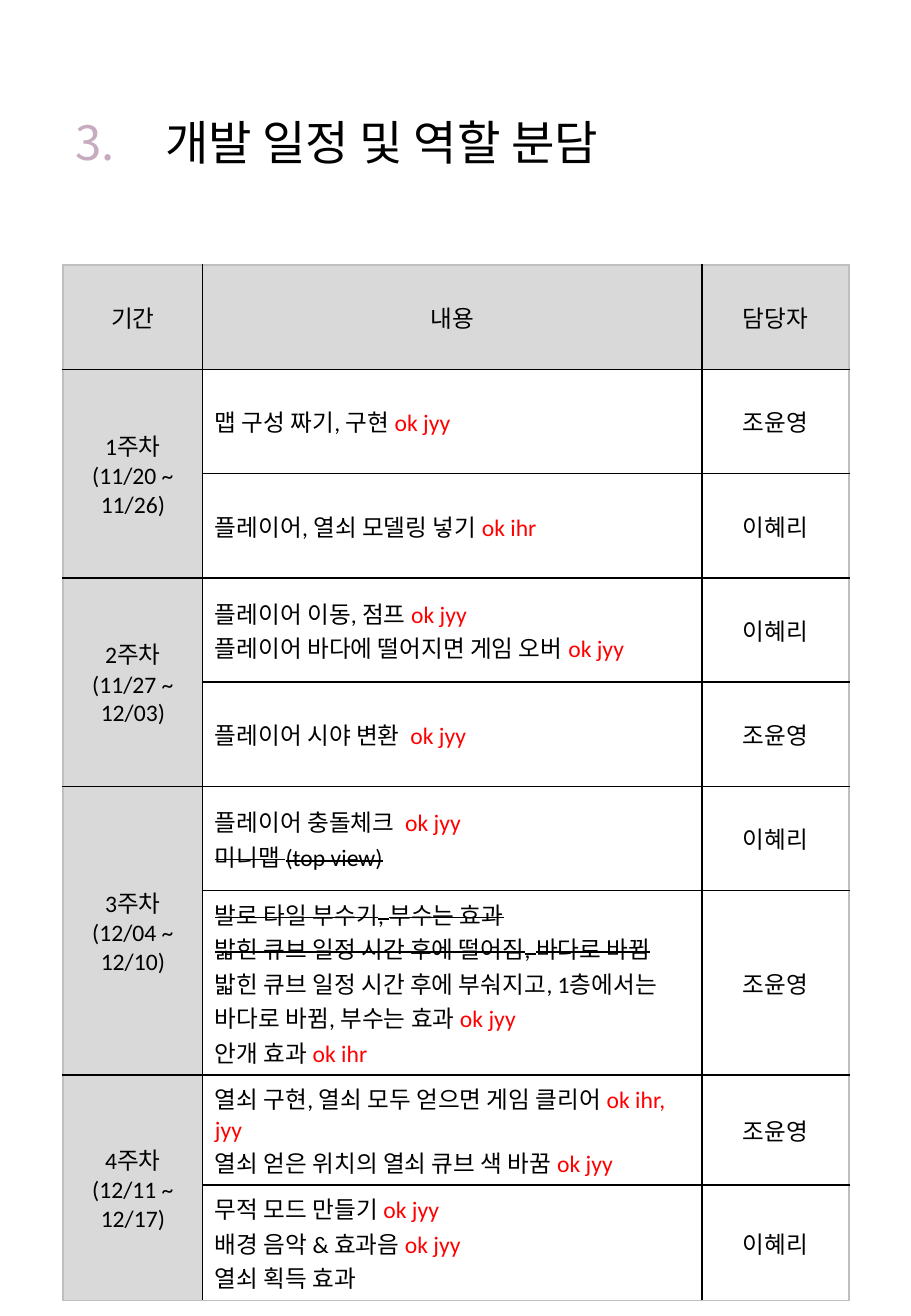
from lxml import etree
from pptx import Presentation
from pptx import util as u
from pptx.dml.color import RGBColor
from pptx.enum import text as t
from pptx.oxml.ns import qn

BLACK, RED, GREY, EDGE, MAUVE = "000000", "FF0000", "D9D9D9", "BFBFBF", "C7ACC0"
LATIN, HANGUL = "Calibri", "Noto Sans CJK KR"

HEAD = ["기간", "내용", "담당자"]
YUN, LEE = "조윤영", "이혜리"
# Each task: its owner, then lines of (text, red mark, struck out)
WEEKS = [
    ("1주차", "(11/20 ~ 11/26)", [
        (YUN, [("맵 구성 짜기, 구현 ", "ok jyy", False)]),
        (LEE, [("플레이어, 열쇠 모델링 넣기 ", "ok ihr", False)]),
    ]),
    ("2주차", "(11/27 ~ 12/03)", [
        (LEE, [("플레이어 이동, 점프 ", "ok jyy", False),
               ("플레이어 바다에 떨어지면 게임 오버 ", "ok jyy", False)]),
        (YUN, [("플레이어 시야 변환  ", "ok jyy", False)]),
    ]),
    ("3주차", "(12/04 ~ 12/10)", [
        (LEE, [("플레이어 충돌체크  ", "ok jyy", False),
               ("미니맵 (top view)", "", True)]),
        (YUN, [("발로 타일 부수기, 부수는 효과", "", True),
               ("밟힌 큐브 일정 시간 후에 떨어짐, 바다로 바뀜", "", True),
               ("밟힌 큐브 일정 시간 후에 부숴지고, 1층에서는 바다로 바뀜, 부수는 효과 ",
                "ok jyy", False),
               ("안개 효과 ", "ok ihr", False)]),
    ]),
    ("4주차", "(12/11 ~ 12/17)", [
        (YUN, [("열쇠 구현, 열쇠 모두 얻으면 게임 클리어 ", "ok ihr, jyy", False),
               ("열쇠 얻은 위치의 열쇠 큐브 색 바꿈 ", "ok jyy", False)]),
        (LEE, [("무적 모드 만들기 ", "ok jyy", False),
               ("배경 음악 & 효과음 ", "ok jyy", False),
               ("열쇠 획득 효과", "", False)]),
    ]),
]


def color(code):
    return RGBColor.from_string(code)


class Page:
    def __init__(self, deck):
        self.slide = deck.slides.add_slide(deck.slide_layouts[5])

    def run(self, para, words, size=14, tint=BLACK, face=LATIN, struck=False):
        run = para.add_run()
        run.text = words
        run.font.size = u.Pt(size)
        run.font.name = face
        run.font.color.rgb = color(tint)
        props = run.font._element
        etree.SubElement(props, qn("a:ea"), typeface=HANGUL)
        if struck:
            props.set("strike", "sngStrike")

    def title(self, number, words):
        box = self.slide.shapes.title
        box.left, box.top = u.Cm(1.32), u.Cm(1.47)
        box.width, box.height = u.Cm(16.43), u.Cm(3.12)
        box.text_frame.vertical_anchor = t.MSO_ANCHOR.MIDDLE
        para = box.text_frame.paragraphs[0]
        para.alignment = t.PP_ALIGN.LEFT
        para.line_spacing = 0.9
        tabs = etree.SubElement(para._p.get_or_add_pPr(), qn("a:tabLst"))
        etree.SubElement(tabs, qn("a:tab"), pos=str(u.Cm(1.88)), algn="l")
        self.run(para, number + "\t", 28, MAUVE, HANGUL)
        self.run(para, words, 28, BLACK, HANGUL)

    def grid(self, widths, count, height):
        frame = self.slide.shapes.add_table(
            count, len(widths), u.Cm(1.32), u.Cm(5.54),
            u.Cm(sum(widths)), u.Cm(count * height))
        table = frame.table
        table.first_row = table.horz_banding = False
        for col, width in zip(table.columns, widths):
            col.width = u.Cm(width)
        for row in table.rows:
            row.height = u.Cm(height)
        return table

    def border(self, table):
        """Draw black inner lines and a grey outer edge."""
        rows, cols = len(table.rows), len(table.columns)
        for r in range(rows):
            for c in range(cols):
                cell = table.cell(r, c)
                end = r + (cell.span_height if cell.is_merge_origin else 1)
                sides = {"L": c == 0, "R": c == cols - 1,
                         "T": r == 0, "B": end == rows}
                props = cell._tc.get_or_add_tcPr()
                for side, outer in sides.items():
                    line = etree.SubElement(
                        props, qn("a:ln" + side), w=str(u.Pt(1)))
                    fill = etree.SubElement(line, qn("a:solidFill"))
                    etree.SubElement(fill, qn("a:srgbClr"),
                                     val=EDGE if outer else BLACK)

    def cell(self, cell, lines, center=True, fill=None):
        cell.vertical_anchor = t.MSO_ANCHOR.MIDDLE
        if fill:
            cell.fill.solid()
            cell.fill.fore_color.rgb = color(fill)
        else:
            cell.fill.background()
        frame = cell.text_frame
        for i, (words, mark, struck) in enumerate(lines):
            para = frame.add_paragraph() if i else frame.paragraphs[0]
            para.alignment = t.PP_ALIGN.CENTER if center else t.PP_ALIGN.LEFT
            self.run(para, words, struck=struck)
            if mark:
                self.run(para, mark, tint=RED)


def plain(*lines):
    return [(line, "", False) for line in lines]


def main():
    deck = Presentation()
    deck.slide_width, deck.slide_height = u.Cm(19.05), u.Cm(27.51)
    page = Page(deck)
    page.title("3.", "개발 일정 및 역할 분담")

    count = 1 + sum(len(tasks) for _, _, tasks in WEEKS)
    table = page.grid([2.92, 10.44, 3.07], count, 2.18)
    row = 1
    for _, _, tasks in WEEKS:
        table.cell(row, 0).merge(table.cell(row + len(tasks) - 1, 0))
        row += len(tasks)
    page.border(table)

    for col, words in enumerate(HEAD):
        page.cell(table.cell(0, col), plain(words), fill=GREY)
    row = 1
    for week, dates, tasks in WEEKS:
        page.cell(table.cell(row, 0), plain(week, dates), fill=GREY)
        for owner, lines in tasks:
            page.cell(table.cell(row, 1), lines, center=False)
            page.cell(table.cell(row, 2), plain(owner))
            row += 1
    deck.save("out.pptx")


if __name__ == "__main__":
    main()
